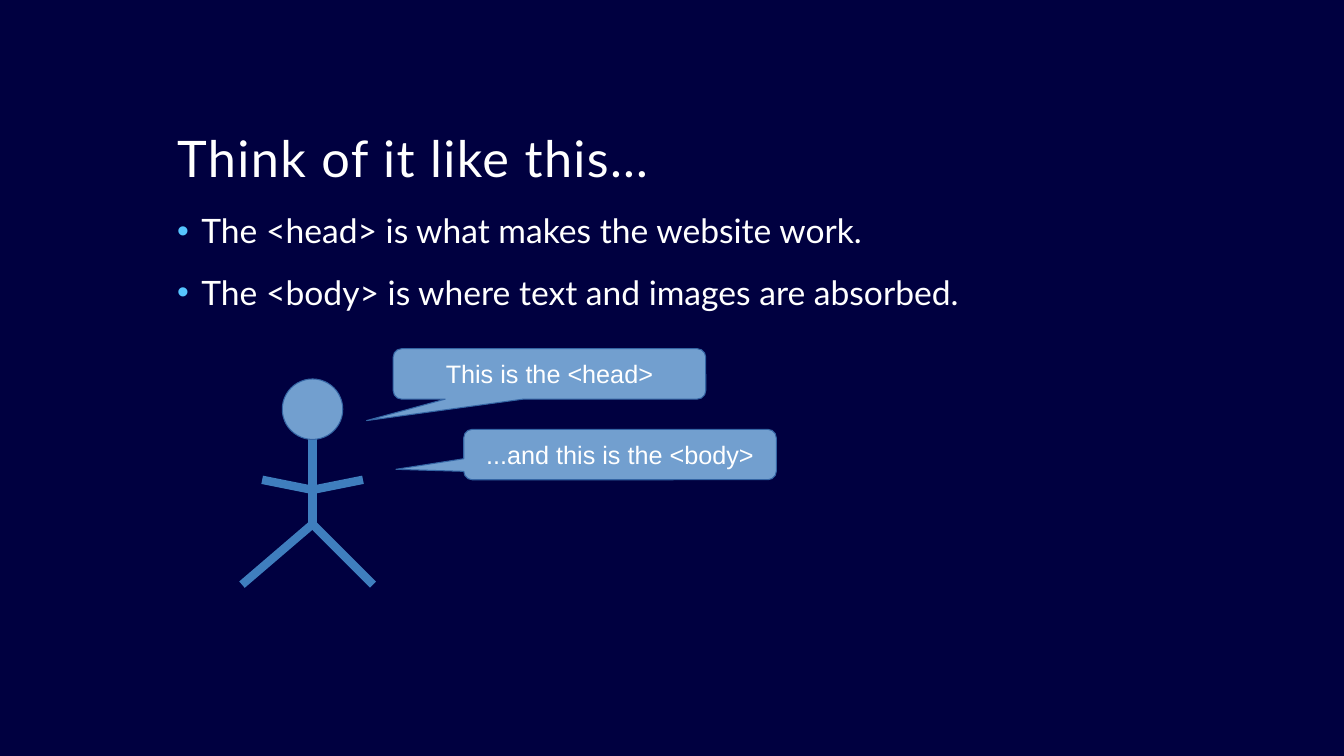
from lxml.etree import SubElement
from pptx import Presentation
from pptx.dml.color import RGBColor
from pptx.enum.shapes import MSO_CONNECTOR, MSO_SHAPE
from pptx.enum.text import MSO_ANCHOR, PP_ALIGN
from pptx.oxml.ns import qn
from pptx.util import Inches, Pt

WHITE, LIMB_BLUE, FILL_BLUE, EDGE_BLUE = "FFFFFF", "3F7EBE", "729FCF", "3465A4"


def paint(color_format, color):
    color_format.rgb = RGBColor.from_string(color)


def style_font(paragraph, name, size):
    paragraph.font.name = name
    paragraph.font.size = Pt(size)
    paint(paragraph.font.color, WHITE)


presentation = Presentation()
presentation.slide_width = Inches(13.33)
presentation.slide_height = Inches(7.5)
slide = presentation.slides.add_slide(presentation.slide_layouts[6])
slide.background.fill.solid()
paint(slide.background.fill.fore_color, "000040")

# Title
left, text_width = Inches(1.66), Inches(10)
title = slide.shapes.add_textbox(left, Inches(0.42), text_width, Inches(1.5)).text_frame
title.word_wrap = True
title.vertical_anchor = MSO_ANCHOR.BOTTOM
paragraph = title.paragraphs[0]
run = paragraph.add_run()
run.text = "Think of it like this…"
run.font._element.set("spc", "100")
paragraph.line_spacing = 0.9
style_font(paragraph, "Lato", 36)

# Bullets
body = slide.shapes.add_textbox(left, Inches(2.08), text_width, Inches(4.5)).text_frame
body.word_wrap = True
bullets = [
    "The <head> is what makes the website work.",
    "The <body> is where text and images are absorbed.",
]
for index, text in enumerate(bullets):
    paragraph = body.add_paragraph() if index else body.paragraphs[0]
    paragraph.text = text
    paragraph.line_spacing = 0.9
    paragraph.space_before = Pt(18 if index else 0)
    properties = paragraph._p.get_or_add_pPr()
    properties.set("marL", str(Inches(0.24)))
    properties.set("indent", str(-Inches(0.24)))
    bullet_color = SubElement(properties, qn("a:buClr"))
    SubElement(bullet_color, qn("a:srgbClr"), val="56C5FF")
    SubElement(properties, qn("a:buFont"), typeface="Arial")
    SubElement(properties, qn("a:buChar"), char="•")
    style_font(paragraph, "Lato", 24)

# Stick figure: limbs as offsets from the spine, then the head
spine = 3.1
limbs = [
    (0, 5.2, -0.7, 5.8),
    (0, 4.26, 0, 5.26),
    (0, 5.2, 0.6, 5.8),
    (0, 4.86, 0.5, 4.76),
    (-0.5, 4.76, 0, 4.86),
]
for start_x, start_y, end_x, end_y in limbs:
    limb = slide.shapes.add_connector(
        MSO_CONNECTOR.STRAIGHT,
        Inches(spine + start_x), Inches(start_y),
        Inches(spine + end_x), Inches(end_y),
    )
    paint(limb.line.color, LIMB_BLUE)
    limb.line.width = Pt(6)
    SubElement(limb._element.spPr, qn("a:effectLst"))

callout = MSO_SHAPE.ROUNDED_RECTANGULAR_CALLOUT
figures = [
    (MSO_SHAPE.OVAL, spine - 0.3, 3.76, 0.6, 0.6, (), ""),
    (callout, 3.9, 3.46, 3.1, 0.5, (-0.585, 0.926, 0.167), "This is the <head>"),
    (callout, 4.6, 4.26, 3.1, 0.5, (-0.717, 0.293, 0.167), "...and this is the <body>"),
]
for kind, x, y, width, height, adjustments, text in figures:
    shape = slide.shapes.add_shape(kind, Inches(x), Inches(y), Inches(width), Inches(height))
    for index, value in enumerate(adjustments):
        shape.adjustments[index] = value
    shape.shadow.inherit = False
    shape.fill.solid()
    paint(shape.fill.fore_color, FILL_BLUE)
    paint(shape.line.color, EDGE_BLUE)
    shape.line.width = Pt(0)
    if text:
        shape.text_frame.word_wrap = False
        shape.text_frame.vertical_anchor = MSO_ANCHOR.MIDDLE
        paragraph = shape.text_frame.paragraphs[0]
        paragraph.text = text
        paragraph.alignment = PP_ALIGN.CENTER
        style_font(paragraph, "Arial", 18)

presentation.save("out.pptx")
